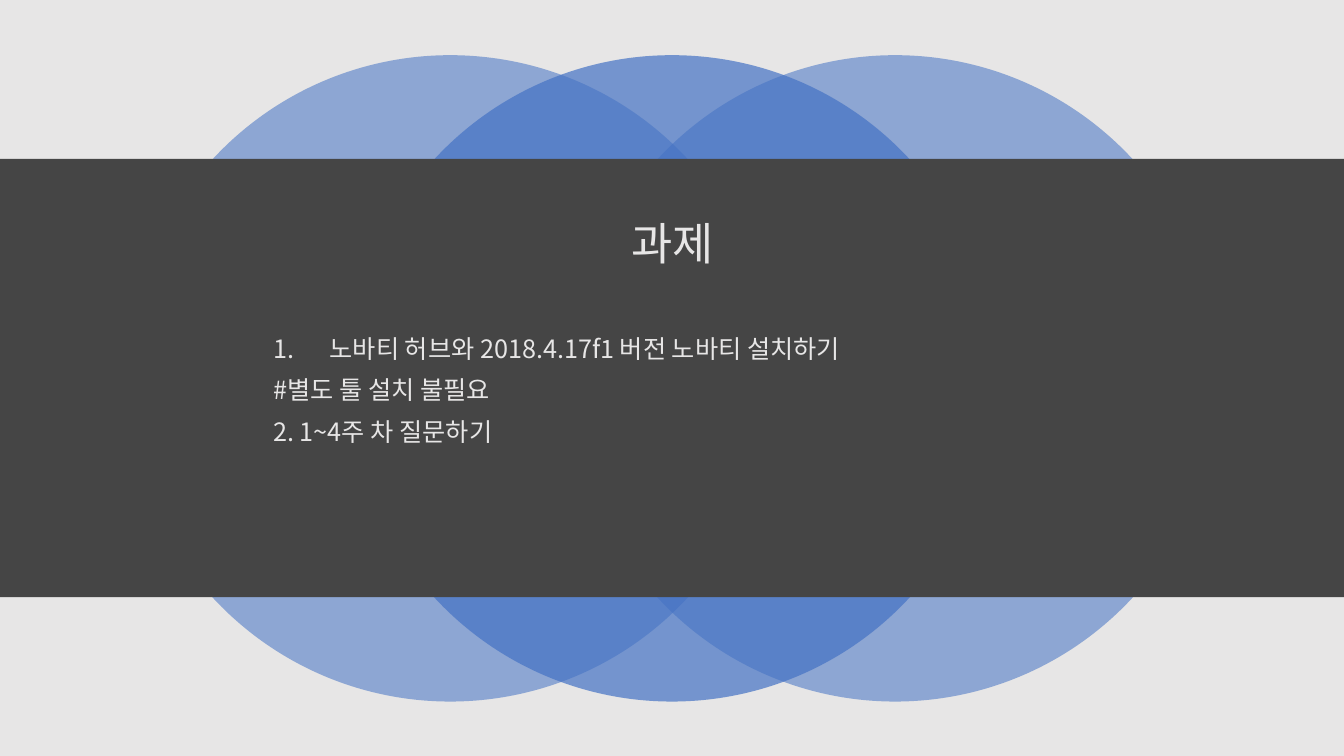
import dataclasses

import pptx
import pptx.dml.color
import pptx.enum.shapes
import pptx.enum.text
import pptx.oxml.ns
import pptx.util
from lxml import etree

SHAPE = pptx.enum.shapes.MSO_SHAPE
ALIGN = pptx.enum.text.PP_ALIGN
ANCHOR = pptx.enum.text.MSO_ANCHOR
qn = pptx.oxml.ns.qn


@dataclasses.dataclass(frozen=True)
class Theme:
    width: float = 13.33
    height: float = 7.5
    dark: str = "454545"
    light: str = "E7E6E6"
    accent: str = "4472C4"
    font: str = "Noto Sans CJK KR"
    title_size: int = 32
    body_size: int = 18
    line_spacing: float = 0.9
    paragraph_gap: int = 10
    number_indent: float = 0.56


class SlideBuilder:
    """Places elements by shares (left, top, width, height) of the slide's size."""

    def __init__(self, deck, theme):
        self.theme = theme
        self.slide = deck.slides.add_slide(deck.slide_layouts[5])
        background = self.slide.background.fill
        background.solid()
        background.fore_color.rgb = self.color(theme.dark)

    def color(self, code):
        return pptx.dml.color.RGBColor.from_string(code)

    def box(self, left, top, width, height):
        t = self.theme
        return [pptx.util.Inches(share * size) for share, size in
                ((left, t.width), (top, t.height), (width, t.width), (height, t.height))]

    def shape(self, kind, area, color, opacity=None, parent=None):
        shapes = (parent or self.slide).shapes
        shape = shapes.add_shape(kind, *self.box(*area))
        shape.shadow.inherit = False
        shape.line.fill.background()
        shape.fill.solid()
        shape.fill.fore_color.rgb = self.color(color)
        if opacity is not None:
            swatch = shape.fill._xPr.find(qn("a:solidFill"))[0]
            etree.SubElement(swatch, qn("a:alpha"), val=str(opacity * 1000))

    def circles(self, centers, top, diameter):
        """Group overlapping circles; centers pairs a share of the width with an opacity."""
        group = self.slide.shapes.add_group_shape()
        width = diameter * self.theme.height / self.theme.width
        for center, opacity in centers:
            area = (center - width / 2, top, width, diameter)
            self.shape(SHAPE.OVAL, area, self.theme.accent, opacity, group)

    def style(self, paragraph, size, align):
        paragraph.alignment = align
        paragraph.line_spacing = self.theme.line_spacing
        font = paragraph.font
        font.size = pptx.util.Pt(size)
        font.name = self.theme.font
        font.color.rgb = self.color(self.theme.light)
        defaults = paragraph._p.pPr.find(qn("a:defRPr"))
        etree.SubElement(defaults, qn("a:ea"), typeface=self.theme.font)

    def title(self, text, area):
        title = self.slide.shapes.title
        title.left, title.top, title.width, title.height = self.box(*area)
        title.text_frame.text = text
        title.text_frame.vertical_anchor = ANCHOR.MIDDLE
        self.style(title.text_frame.paragraphs[0], self.theme.title_size, ALIGN.CENTER)
        # Bring the title in front of the band
        self.slide.shapes._spTree.append(title._element)

    def number(self, paragraph):
        """Give the paragraph an automatic number with a hanging indent."""
        indent = pptx.util.Inches(self.theme.number_indent)
        properties = paragraph._p.get_or_add_pPr()
        properties.set("marL", str(indent))
        properties.set("indent", str(-indent))
        etree.SubElement(properties, qn("a:buAutoNum"), type="arabicPeriod")

    def tasks(self, items, area):
        """Write (text, numbered) items as paragraphs."""
        frame = self.slide.shapes.add_textbox(*self.box(*area)).text_frame
        frame.word_wrap = True
        for index, (text, numbered) in enumerate(items):
            paragraph = frame.add_paragraph() if index else frame.paragraphs[0]
            paragraph.text = text
            if numbered:
                self.number(paragraph)
            if index:
                paragraph.space_before = pptx.util.Pt(self.theme.paragraph_gap)
            self.style(paragraph, self.theme.body_size, ALIGN.LEFT)


def main():
    theme = Theme()
    deck = pptx.Presentation()
    deck.slide_width = pptx.util.Inches(theme.width)
    deck.slide_height = pptx.util.Inches(theme.height)

    page = SlideBuilder(deck, theme)
    page.shape(SHAPE.RECTANGLE, (0, 0, 1, 1), theme.light)
    page.circles([(0.335, 55), (0.666, 55), (0.5, 70)], top=0.073, diameter=0.855)
    page.shape(SHAPE.RECTANGLE, (0, 0.21, 1, 0.58), theme.dark)
    page.title("과제", (0.069, 0.257, 0.863, 0.136))
    page.tasks([
        ("노바티 허브와 2018.4.17f1 버전 노바티 설치하기", True),
        ("#별도 툴 설치 불필요", False),
        ("2. 1~4주 차 질문하기", False),
    ], (0.196, 0.439, 0.609, 0.308))
    deck.save("out.pptx")


if __name__ == "__main__":
    main()
